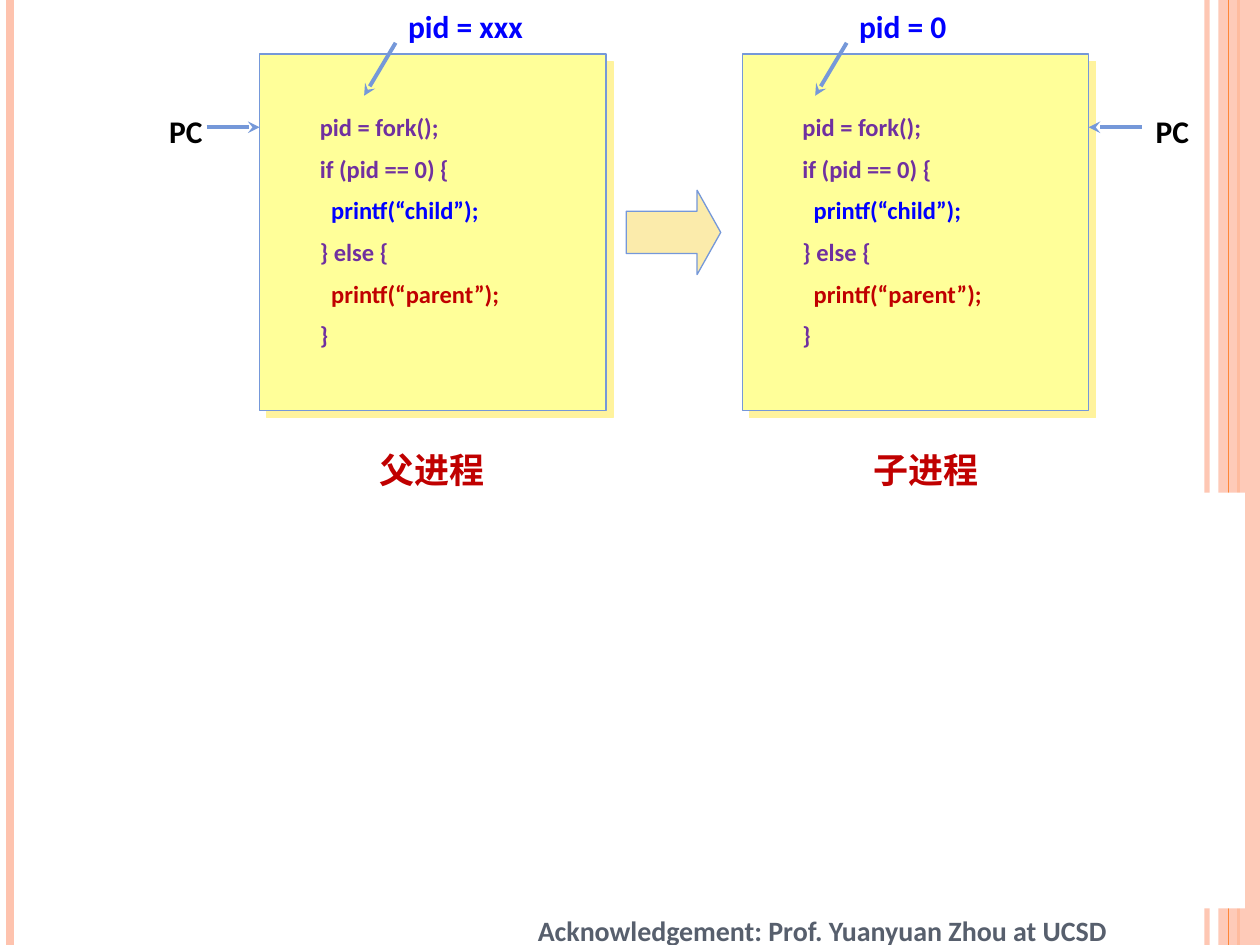
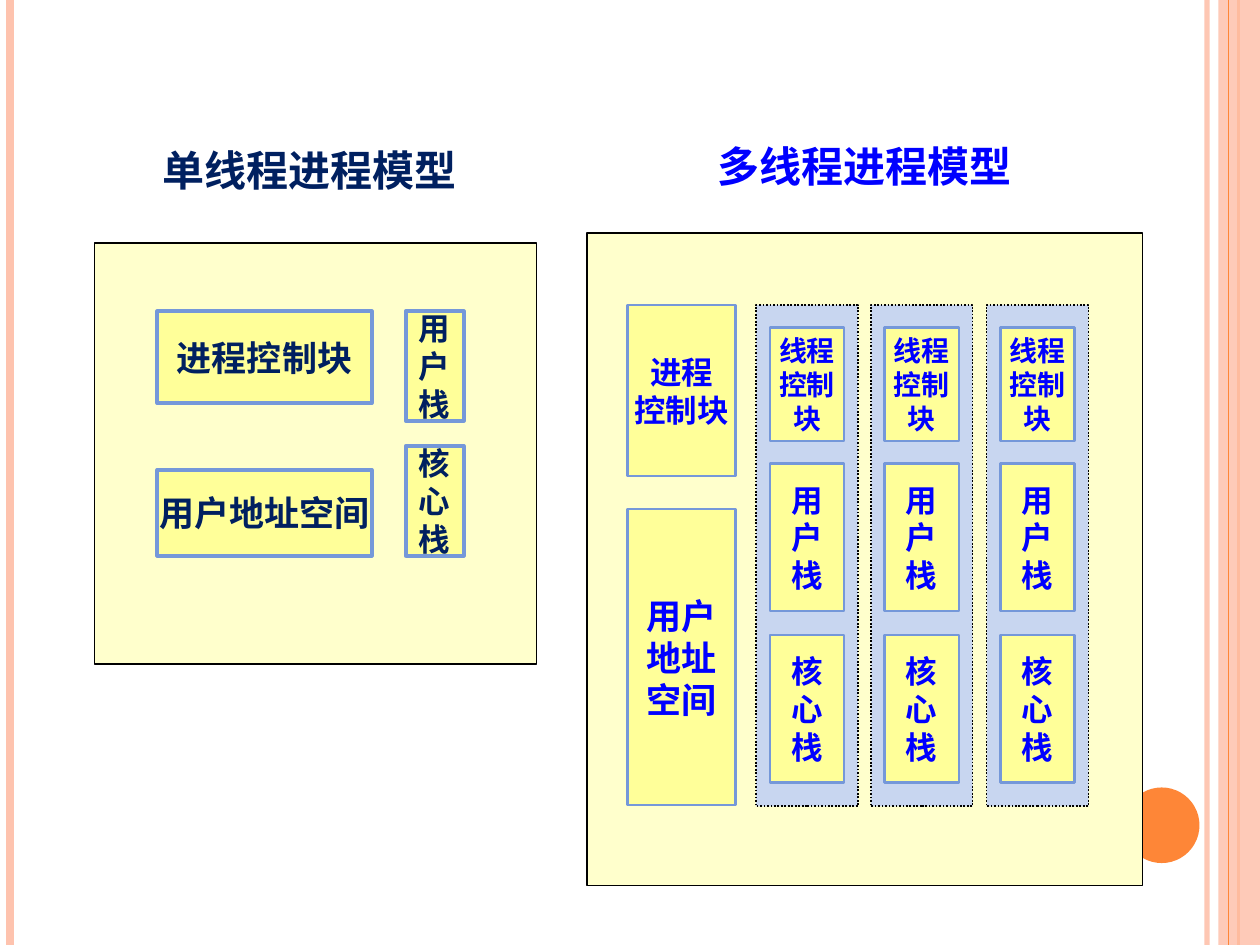
from lxml.etree import SubElement
from pptx import Presentation
from pptx.dml.color import RGBColor
from pptx.enum.dml import MSO_LINE
from pptx.enum.shapes import MSO_CONNECTOR, MSO_SHAPE
from pptx.enum.text import MSO_ANCHOR, MSO_AUTO_SIZE, PP_ALIGN
from pptx.oxml.ns import qn
from pptx.util import Emu, Pt

EMU_PER_PX = 9144

LATIN = "Calibri"
CHINESE = "Noto Sans CJK SC"
WHITE = "FFFFFF"
BLACK = "000000"
PEACH = "FEC3AE"
ORANGE = "FE8637"
STEEL = "7598D9"
YELLOW = "FFFF99"
CREAM = "FFFFCC"
SAND = "FBEBAB"
SHADOW = "FFF39D"
PALE_BLUE = "C8D6F0"
PURPLE = "7030A0"
BLUE = "0000FF"
NAVY = "002060"
RED = "C00000"
SLATE = "575F6D"

FORK_CODE = [
    ("pid = fork();", PURPLE, 0),
    ("if (pid == 0) {", PURPLE, 0),
    ("printf(“child”);", BLUE, 9),
    ("} else {", PURPLE, 0),
    ("printf(“parent”);", RED, 9),
    ("}", PURPLE, 0),
]
USER_STACK = "用\n户\n栈"
KERNEL_STACK = "核\n心\n栈"
THREAD_BLOCK = "线程\n控制\n块"


def px(length):
    return Emu(length * EMU_PER_PX)


def color(hex_string):
    return RGBColor.from_string(hex_string)


def set_alpha(element, percent):
    SubElement(element.find(".//" + qn("a:srgbClr")), qn("a:alpha"), val=str(percent * 1000))


class SlideBuilder:
    def __init__(self):
        self.deck = Presentation()
        self.deck.slide_width = px(1000)
        self.deck.slide_height = px(750)
        self.page = None

    def add_page(self):
        self.page = self.deck.slides.add_slide(self.deck.slide_layouts[6])
        right_line = self.line((958, 0), (958, 750), PEACH, 3)
        set_alpha(right_line.line._ln, 93)
        self.line((8, 0), (8, 750), PEACH, 4.5)
        self.line((983, 0), (983, 750), ORANGE, 1.5)
        band = self.shape((967, 0, 33, 750), PEACH)
        set_alpha(band._element.spPr, 87)
        self.line((975, 0), (975, 750), ORANGE, 0.75)

    def line(self, start, end, stroke=STEEL, width=2.25, arrow=False):
        connector = self.page.shapes.add_connector(
            MSO_CONNECTOR.STRAIGHT, *map(px, start + end)
        )
        connector.line.color.rgb = color(stroke)
        connector.line.width = Pt(width)
        if arrow:
            SubElement(connector.line._ln, qn("a:tailEnd"), type="stealth")
        SubElement(connector._element.spPr, qn("a:effectLst"))
        return connector

    def shape(self, place, fill, stroke=None, width=0.75, kind=MSO_SHAPE.RECTANGLE):
        shape = self.page.shapes.add_shape(kind, *map(px, place))
        shape.shadow.inherit = False
        shape.fill.solid()
        shape.fill.fore_color.rgb = color(fill)
        if stroke:
            shape.line.color.rgb = color(stroke)
            shape.line.width = Pt(width)
        else:
            shape.line.fill.background()
        return shape

    def shadowed_box(self, place):
        box = self.shape(place, YELLOW, STEEL)
        effects = box._element.spPr.find(qn("a:effectLst"))
        shadow = SubElement(
            effects, qn("a:outerShdw"), dist=str(Pt(5.7)), dir="2700000", algn="ctr", rotWithShape="0"
        )
        SubElement(shadow, qn("a:srgbClr"), val=SHADOW)

    def labelled_box(self, place, text, ink, size, width):
        box = self.shape(place, YELLOW, STEEL, width)
        frame = box.text_frame
        frame.word_wrap = False
        frame.vertical_anchor = MSO_ANCHOR.MIDDLE
        frame.text = text
        for para in frame.paragraphs:
            self.style(para, size, ink, CHINESE, PP_ALIGN.CENTER)

    def text(self, place, text, size, ink, font=LATIN, align=PP_ALIGN.LEFT):
        box = self.page.shapes.add_textbox(*map(px, place))
        frame = box.text_frame
        frame.word_wrap = True
        frame.auto_size = MSO_AUTO_SIZE.SHAPE_TO_FIT_TEXT
        frame.text = text
        for para in frame.paragraphs:
            self.style(para, size, ink, font, align)
        return frame

    def code(self, place, lines):
        frame = self.text(place, "\n".join(text for text, _, _ in lines), 14, PURPLE)
        for index, (para, (_, ink, indent)) in enumerate(zip(frame.paragraphs, lines)):
            para.space_before = Pt(7 if index else 2.8)
            para.runs[0].font.color.rgb = color(ink)
            if indent:
                para._p.get_or_add_pPr().set("marL", str(px(indent)))

    def style(self, para, size, ink, font, align):
        para.alignment = align
        for span in para.runs:
            span.font.size = Pt(size)
            span.font.bold = True
            span.font.name = font
            span.font.color.rgb = color(ink)
            SubElement(span._r.get_or_add_rPr(), qn("a:ea"), typeface=font)


def build_fork_page(builder):
    builder.add_page()
    processes = [
        (206, "父进程", 272, "pid = xxx", 314),
        (589, "子进程", 664, "pid = 0", 672),
    ]
    for left, name, name_left, result, result_left in processes:
        builder.shadowed_box((left, 43, 275, 283))
        builder.code((left + 38, 84, 267, 210), FORK_CODE)
        builder.text((name_left, 351, 142, 44), name, 20, RED, CHINESE, PP_ALIGN.CENTER)
        builder.text((result_left, 1, 192, 40), result, 18, BLUE)
        builder.line((result_left, 34), (result_left - 25, 76), arrow=True)

    fork_arrow = builder.shape((497, 151, 75, 67), SAND, STEEL, kind=MSO_SHAPE.RIGHT_ARROW)
    fork_arrow.adjustments[1] = 0.28

    for label_left, start, end in [(114, 164, 206), (897, 906, 864)]:
        builder.text((label_left, 84, 67, 40), "PC", 18, BLACK, align=PP_ALIGN.CENTER)
        builder.line((start, 101), (end, 101), arrow=True)

    footer = builder.text((417, 726, 579, 25), "Acknowledgement: Prof. Yuanyuan Zhou at UCSD", 16, SLATE)
    footer.auto_size = MSO_AUTO_SIZE.NONE
    footer.vertical_anchor = MSO_ANCHOR.MIDDLE
    builder.shape((122, 391, 866, 330), WHITE)


def build_thread_page(builder):
    builder.add_page()
    builder.shape((892, 625, 60, 60), ORANGE, kind=MSO_SHAPE.OVAL)

    builder.shape((75, 193, 351, 334), CREAM, BLACK)
    builder.text((88, 110, 315, 51), "单线程进程模型", 24, NAVY, CHINESE, PP_ALIGN.CENTER)
    for place, text, size in [
        ((125, 247, 170, 73), "进程控制块", 20),
        ((125, 373, 170, 68), "用户地址空间", 20),
        ((322, 247, 46, 87), USER_STACK, 18),
        ((322, 354, 46, 87), KERNEL_STACK, 18),
    ]:
        builder.labelled_box(place, text, NAVY, size, 2.25)

    builder.shape((466, 185, 441, 518), CREAM, BLACK)
    builder.text((489, 107, 394, 50), "多线程进程模型", 24, BLUE, CHINESE, PP_ALIGN.CENTER)
    builder.labelled_box((498, 242, 86, 136), "进程\n控制块", BLUE, 18, 1.5)
    builder.labelled_box((498, 404, 86, 235), "用户\n地址\n空间", BLUE, 20, 1.5)
    for thread in range(3):
        left = 600 + thread * 183 // 2
        column = builder.shape((left, 242, 81, 398), PALE_BLUE, BLACK, 1)
        column.line.dash_style = MSO_LINE.ROUND_DOT
        for top, height, text, size in [
            (260, 90, THREAD_BLOCK, 16),
            (368, 117, USER_STACK, 18),
            (504, 117, KERNEL_STACK, 18),
        ]:
            builder.labelled_box((left + 11, top, 59, height), text, BLUE, size, 1.5)


def main():
    builder = SlideBuilder()
    build_fork_page(builder)
    build_thread_page(builder)
    builder.deck.save("out.pptx")


if __name__ == "__main__":
    main()
